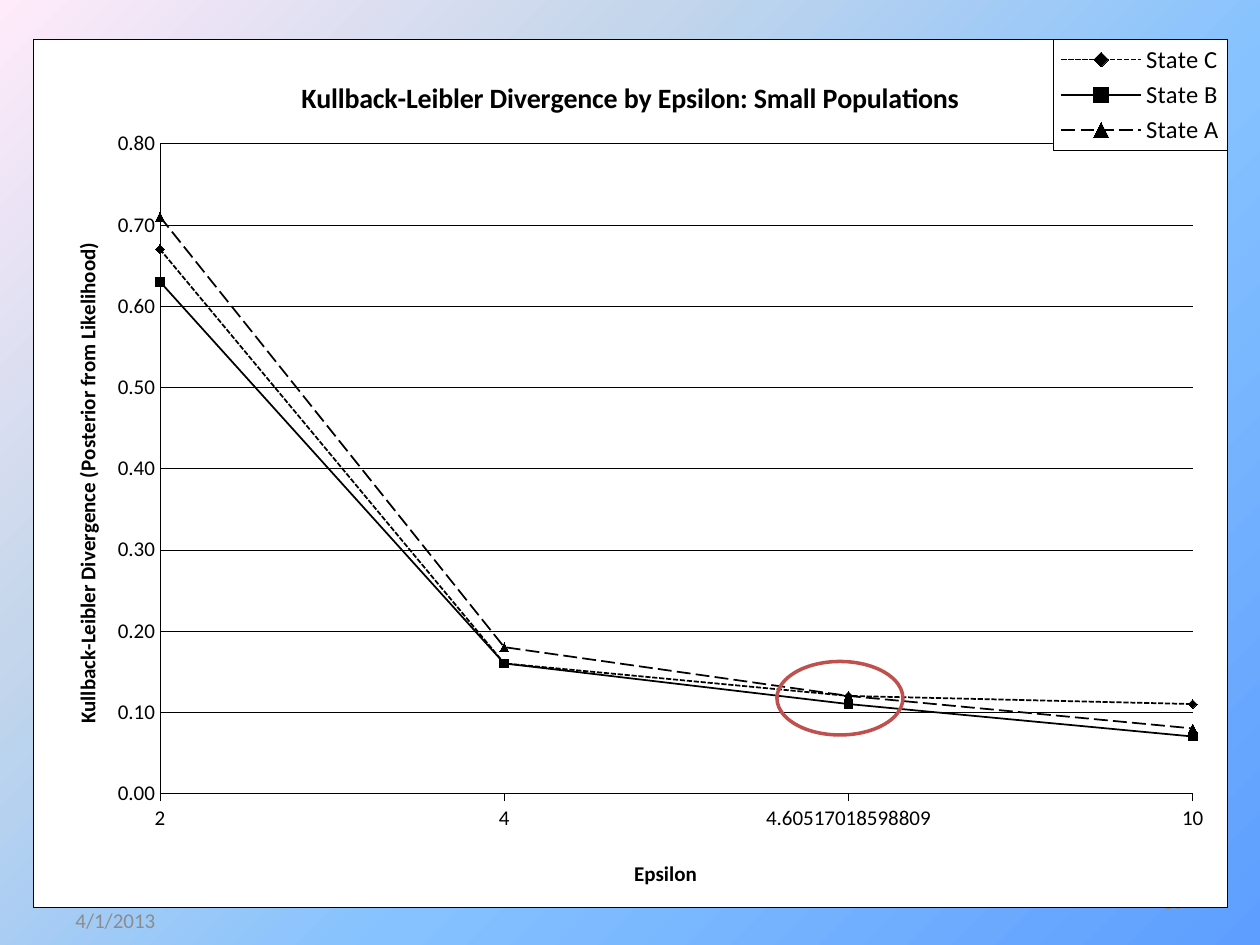
from lxml.etree import SubElement
from pptx import Presentation
from pptx.chart.data import CategoryChartData
from pptx.dml.color import RGBColor
from pptx.enum.chart import XL_CHART_TYPE, XL_LEGEND_POSITION, XL_MARKER_STYLE, XL_TICK_MARK
from pptx.enum.dml import MSO_LINE
from pptx.enum.shapes import MSO_SHAPE
from pptx.enum.text import MSO_ANCHOR, PP_ALIGN
from pptx.oxml import parse_xml
from pptx.oxml.ns import nsdecls, qn
from pptx.util import Pt

BLACK, WHITE, GREY, RED = "000000", "FFFFFF", "8C8C8C", "C0504D"
STOPS = [(0, "5E9EFF"), (40, "85C2FF"), (70, "C4D6EB"), (100, "FFEBFA")]
CATEGORIES = ["2", "4", "4.60517018598809", "10"]
SERIES = [
    ("State C", [0.67, 0.16, 0.12, 0.11], XL_MARKER_STYLE.DIAMOND, MSO_LINE.SQUARE_DOT),
    ("State B", [0.63, 0.16, 0.11, 0.07], XL_MARKER_STYLE.SQUARE, MSO_LINE.SOLID),
    ("State A", [0.71, 0.18, 0.12, 0.08], XL_MARKER_STYLE.TRIANGLE, MSO_LINE.LONG_DASH),
]


def rgb(color):
    return RGBColor.from_string(color)


def set_attrs(obj, **values):
    for name, value in values.items():
        setattr(obj, name, value)


def set_font(font, size, color=BLACK, bold=False):
    set_attrs(font, name="Calibri", size=Pt(size), bold=bold)
    font.color.rgb = rgb(color)


def set_line(line, color, width):
    line.color.rgb = rgb(color)
    line.width = Pt(width)


def box_format():
    return parse_xml(
        f'<c:spPr {nsdecls("c", "a")}><a:solidFill><a:srgbClr val="{WHITE}"/></a:solidFill>'
        f'<a:ln w="{Pt(0.25)}"><a:solidFill><a:srgbClr val="{BLACK}"/></a:solidFill></a:ln></c:spPr>')


def set_layout(element, before, **values):
    for old in element.findall(qn("c:layout")):
        element.remove(old)
    layout = parse_xml(f'<c:layout {nsdecls("c")}/>')
    manual = SubElement(layout, qn("c:manualLayout"))
    for name, value in values.items():
        SubElement(manual, qn(f"c:{name}")).set("val", str(value))
    if before is None:
        element.insert(0, layout)
    else:
        element.find(qn(before)).addnext(layout)


def set_title(title, text, size, x, y):
    tf = title.text_frame
    tf.text = text
    set_font(tf.paragraphs[0].runs[0].font, size, bold=True)
    set_layout(title._element, "c:tx", xMode="edge", yMode="edge", x=x, y=y)


def add_background(slide):
    slide.background.fill.gradient()
    grad = next(slide.element.iter(qn("a:gradFill")))
    stops = "".join(f'<a:gs pos="{pos * 1000}"><a:srgbClr val="{color}"/></a:gs>'
                    for pos, color in STOPS)
    grad.getparent().replace(grad, parse_xml(
        f'<a:gradFill {nsdecls("a")} rotWithShape="1"><a:gsLst>{stops}</a:gsLst>'
        '<a:path path="circle"><a:fillToRect l="100000" t="100000"/></a:path></a:gradFill>'))


def add_footer(slide, text, left, top, align):
    tf = slide.shapes.add_textbox(Pt(left), Pt(top), Pt(168), Pt(28.8)).text_frame
    set_attrs(tf, word_wrap=True, vertical_anchor=MSO_ANCHOR.MIDDLE)
    p = tf.paragraphs[0]
    p.alignment = align
    r = p.add_run()
    r.text = text
    set_font(r.font, 12, GREY)


def format_axes(chart):
    cat, val = chart.category_axis, chart.value_axis
    for axis, tick in ((cat, XL_TICK_MARK.OUTSIDE), (val, XL_TICK_MARK.NONE)):
        set_attrs(axis, major_tick_mark=tick, minor_tick_mark=XL_TICK_MARK.NONE)
        set_font(axis.tick_labels.font, 12)
        set_line(axis.format.line, BLACK, 0.25)
    set_attrs(val, minimum_scale=0, maximum_scale=0.8, major_unit=0.1, has_major_gridlines=True)
    set_attrs(val.tick_labels, number_format="0.00", number_format_is_linked=False)
    set_line(val.major_gridlines.format.line, BLACK, 0.25)
    val._element.find(qn("c:majorUnit")).addprevious(
        parse_xml(f'<c:crossBetween {nsdecls("c")} val="midCat"/>'))
    set_title(cat.axis_title, "Epsilon", 12, 0.5, 0.94)
    set_title(val.axis_title, "Kullback-Leibler Divergence (Posterior from Likelihood)",
              12, 0.03, 0.23)


def format_legend(chart):
    chart.has_legend = True
    legend = chart.legend
    set_attrs(legend, position=XL_LEGEND_POSITION.CORNER, include_in_layout=True)
    set_font(legend.font, 14)
    element = legend._element
    set_layout(element, "c:legendPos", xMode="edge", yMode="edge",
               x=0.854, y=0, w=0.146, h=0.127)
    element.find(qn("c:overlay")).addnext(box_format())


def add_divergence_chart(slide, left, top, width, height):
    data = CategoryChartData(number_format="0.00")
    data.categories = CATEGORIES
    for name, values, *_ in SERIES:
        data.add_series(name, values)
    chart = slide.shapes.add_chart(XL_CHART_TYPE.LINE_MARKERS, Pt(left), Pt(top),
                                   Pt(width), Pt(height), data).chart
    set_font(chart.font, 11.2)
    set_title(chart.chart_title, "Kullback-Leibler Divergence by Epsilon: Small Populations",
              16, 0.22, 0.04)
    format_axes(chart)
    format_legend(chart)
    plot = chart.plots[0]
    plot.vary_by_categories = False
    for series, (_, _, style, dash) in zip(plot.series, SERIES):
        series.smooth = False
        set_line(series.format.line, BLACK, 1)
        series.format.line.dash_style = dash
        marker = series.marker
        set_attrs(marker, style=style, size=5)
        marker.format.fill.solid()
        marker.format.fill.fore_color.rgb = rgb(BLACK)
        set_line(marker.format.line, BLACK, 0.75)
    area = chart.element.find(qn("c:chart"))
    set_layout(area.find(qn("c:plotArea")), None, layoutTarget="inner", xMode="edge",
               yMode="edge", x=0.106, y=0.12, w=0.865, h=0.749)
    area.addnext(box_format())


def add_highlight(slide, left, top, width, height):
    sp = slide.shapes.add_shape(MSO_SHAPE.OVAL, Pt(left), Pt(top), Pt(width), Pt(height))
    sp.shadow.inherit = False
    sp.fill.background()
    set_line(sp.line, RED, 2)


def main():
    prs = Presentation()
    set_attrs(prs, slide_width=Pt(720), slide_height=Pt(540))
    slide = prs.slides.add_slide(prs.slide_layouts[6])
    add_background(slide)
    add_footer(slide, "89", 516, 500.5, PP_ALIGN.RIGHT)
    add_divergence_chart(slide, 19, 22.5, 682.5, 496)
    add_highlight(slide, 444, 378, 72, 42)
    add_footer(slide, "4/1/2013", 36, 511.5, PP_ALIGN.LEFT)
    prs.save("out.pptx")


if __name__ == "__main__":
    main()
